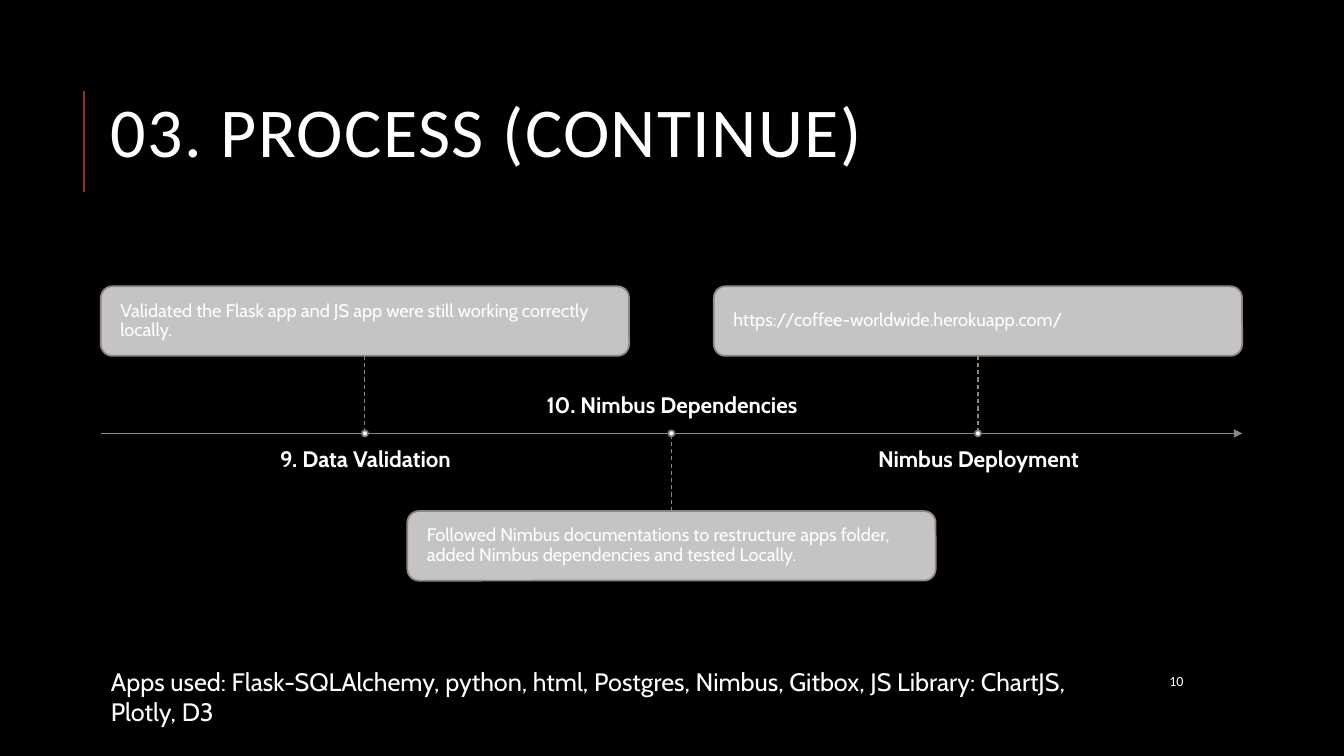
import dataclasses

import lxml.etree
import pptx
import pptx.dml.color
import pptx.enum.dml
import pptx.enum.shapes
import pptx.enum.text
import pptx.oxml.ns
import pptx.util

ALIGN = pptx.enum.text.PP_ALIGN
ANCHOR = pptx.enum.text.MSO_ANCHOR
SHAPE = pptx.enum.shapes.MSO_SHAPE
DASH = pptx.enum.dml.MSO_LINE.DASH


@dataclasses.dataclass(frozen=True)
class Theme:
    back: str = "000000"
    text: str = "FFFFFF"
    accent: str = "9B2D1F"
    line: str = "918485"
    ring: str = "847879"
    card: str = "DCD9D9"
    head: str = "Calibri"
    body: str = "Cabin"
    title: int = 50
    apps: int = 18
    label: int = 16
    note: int = 13
    number: int = 10


def px(count):
    """Turn px, 100 to the inch, into EMU."""
    return pptx.util.Emu(count * 9144)


def rgb(code):
    return pptx.dml.color.RGBColor.from_string(code)


def apply(target, values):
    for name, value in values.items():
        setattr(target, name, value)


def add(parent, tag, **values):
    return lxml.etree.SubElement(parent, pptx.oxml.ns.qn(tag), values)


class Deck:
    def __init__(self, theme):
        self.theme = theme
        self.show = pptx.Presentation()
        apply(self.show, {"slide_width": px(1333), "slide_height": px(750)})
        self.slide = self.show.slides.add_slide(self.show.slide_layouts[5])
        self.shapes = self.slide.shapes
        fill = self.slide.background.fill
        fill.solid()
        fill.fore_color.rgb = rgb(theme.back)

    def label(self, shape, text, size, face=None, bold=False,
              align=ALIGN.LEFT, space=1.0, **frame):
        """Fill a shape with one formatted paragraph; frame holds text frame values."""
        apply(shape.text_frame, {"word_wrap": True, **frame})
        para = shape.text_frame.paragraphs[0]
        apply(para, {"alignment": align, "line_spacing": space})
        run = para.add_run()
        run.text = text
        apply(run.font, {"name": face or self.theme.body, "bold": bold,
                         "size": pptx.util.Pt(size)})
        run.font.color.rgb = rgb(self.theme.text)
        return run

    def title(self, text, *box):
        shape = self.shapes.title
        apply(shape, dict(zip(("left", "top", "width", "height"), map(px, box))))
        run = self.label(shape, text, self.theme.title, self.theme.head, space=0.8,
                         vertical_anchor=ANCHOR.MIDDLE,
                         auto_size=pptx.enum.text.MSO_AUTO_SIZE.NONE)
        run.font._element.set("spc", "100")

    def text(self, text, box, size, **values):
        shape = self.shapes.add_textbox(*map(px, box))
        self.label(shape, text, size, **values)

    def stroke(self, shape, color, width, dash=None):
        shape.line.color.rgb = rgb(color)
        apply(shape.line, {"width": pptx.util.Pt(width), "dash_style": dash})

    def line(self, ends, color, width, dash=None, arrow=False):
        kind = pptx.enum.shapes.MSO_CONNECTOR.STRAIGHT
        line = self.shapes.add_connector(kind, *map(px, ends))
        self.stroke(line, color, width, dash)
        if arrow:
            add(line.line._get_or_add_ln(), "a:tailEnd", type="triangle")
        add(line._element.spPr, "a:effectLst")
        return line

    def shape(self, kind, box, fill, line):
        shape = self.shapes.add_shape(kind, *map(px, box))
        shape.shadow.inherit = False
        shape.fill.solid()
        shape.fill.fore_color.rgb = rgb(fill)
        self.stroke(shape, line, 1.25)
        return shape

    def card(self, text, box):
        card = self.shape(SHAPE.ROUNDED_RECTANGLE, box, self.theme.card, self.theme.line)
        color = card._element.spPr.find(".//" + pptx.oxml.ns.qn("a:srgbClr"))
        add(color, "a:alpha", val="90000")
        self.label(card, text, self.theme.note, space=0.9,
                   vertical_anchor=ANCHOR.MIDDLE, margin_left=px(16),
                   margin_right=px(16), margin_top=0, margin_bottom=0)
        return card

    def stage(self, mid, axis, label, note, above):
        """Place a card on one side of the axis and its label on the other."""
        wide, high, gap = 524, 69, 77
        top = axis - gap - high if above else axis + gap
        card = self.card(note, (mid - wide // 2, top, wide, high))
        edge = axis - gap if above else axis + gap
        stem = self.line((mid, edge, mid, axis), self.theme.line, 0.75, DASH)
        stem.begin_connect(card, 2 if above else 0)
        self.shape(SHAPE.OVAL, (mid - 3, axis - 3, 6, 6), self.theme.text, self.theme.ring)
        top = axis + 15 if above else axis - 61
        self.text(label, (mid - 230, top, 461, 46), self.theme.label, bold=True,
                  align=ALIGN.CENTER, space=0.9, margin_left=0, margin_right=0,
                  margin_top=0, margin_bottom=0,
                  vertical_anchor=ANCHOR.TOP if above else ANCHOR.BOTTOM)


STAGES = (
    ("9. Data Validation",
     "Validated the Flask app and JS app were still working correctly locally."),
    ("10. Nimbus Dependencies",
     "Followed Nimbus documentations to restructure apps folder, "
     "added Nimbus dependencies and tested Locally."),
    ("Nimbus Deployment", "https://coffee-worldwide.herokuapp.com/"),
)


def main():
    theme = Theme()
    deck = Deck(theme)
    axis = 430
    deck.line((83, 190, 83, 90), theme.accent, 1.5)
    deck.title("03. PROCESS (CONTINUE)", 100, 67, 1132, 138)
    deck.line((100, axis, 1232, axis), theme.line, 1.25, arrow=True)
    for i, (label, note) in enumerate(STAGES):
        deck.stage(362 + 304 * i, axis, label, note, above=i % 2 == 0)
    deck.text("10", (1150, 656, 82, 40), theme.number, face=theme.head,
              vertical_anchor=ANCHOR.MIDDLE)
    deck.text("Apps used: Flask-SQLAlchemy, python, html, Postgres, Nimbus, Gitbox, "
              "JS Library: ChartJS, Plotly, D3", (100, 656, 1029, 40), theme.apps)
    deck.show.save("out.pptx")


if __name__ == "__main__":
    main()
